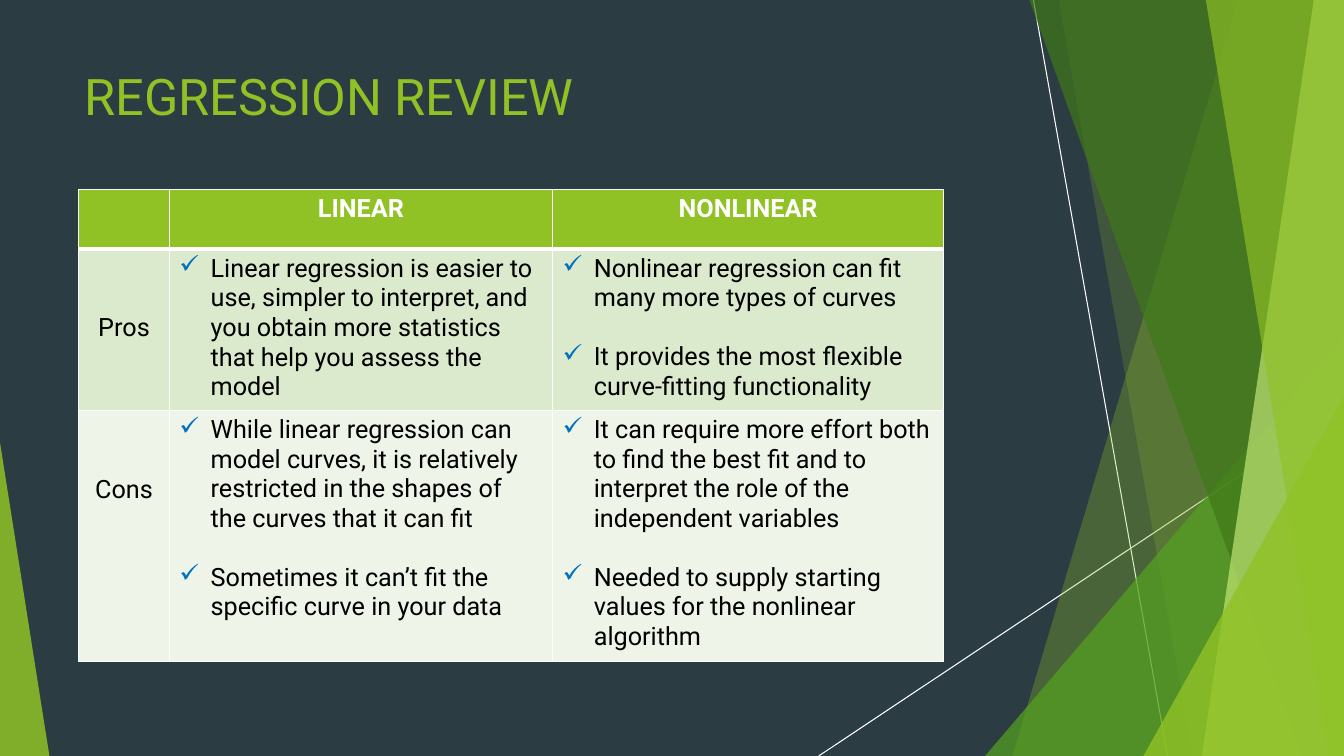
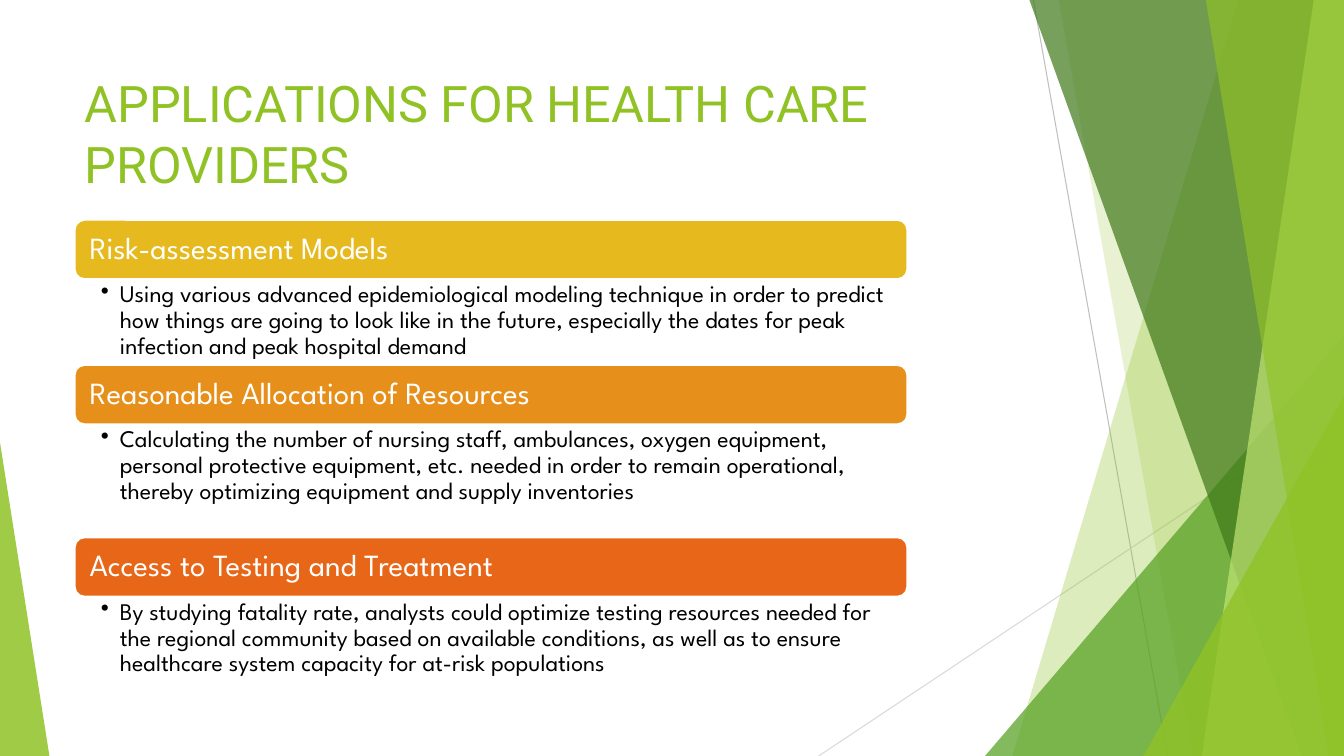
import dataclasses
import pptx
import pptx.util
import pptx.dml.color
import pptx.enum.shapes
import pptx.enum.text
import pptx.oxml.ns
import lxml.etree

SCALE = 9144
WIDE, HIGH = 1333, 750
SHAPE = pptx.enum.shapes.MSO_SHAPE
ALIGN = pptx.enum.text.PP_ALIGN
ANCHOR = pptx.enum.text.MSO_ANCHOR
qn = pptx.oxml.ns.qn


@dataclasses.dataclass(frozen=True)
class Theme:
    head: str = "Roboto"
    body: str = "League Spartan"
    lime: str = "90C226"
    green: str = "54A021"
    moss: str = "3F7819"
    pale: str = "C0E474"
    slate: str = "2C3C43"
    white: str = "FFFFFF"
    black: str = "000000"
    blue: str = "0070C0"
    bands: tuple = ("DBE9CD", "EEF4E8")
    bars: tuple = ("E6B91E", "E6901B", "E76618")
    rays: tuple = ("BFBFBF", "D9D9D9")
    title: int = 36
    grid: int = 18
    bar: int = 22
    note: int = 17
    gap: int = 21


T = Theme()

RAYS = [((1025, 0), (1158, 750)), ((1333, 403), (812, 750))]
SHARDS = [
    ("slant", (1228, 1004), T.lime, 30),
    ("slant", (1050, 1183), T.lime, 20),
    ("peak", (977, 333, 356, 417, 1), T.green, 72),
    ("slant", (1021, 1291), T.moss, 70),
    ("slant", (1303, 1192), T.pale, 70),
    ("slant", (1196, 1318), T.lime, 65),
    ("peak", (1134, 393, 199, 357, 1), T.lime, 80),
    ("peak", (0, 439, 49, 311, 0), T.lime, 85),
]

HEADS = ["", "LINEAR", "NONLINEAR"]
ROWS = [
    ("Pros", [
        ["Linear regression is easier to use, simpler to interpret, and you obtain more statistics that help you assess the model"],
        ["Nonlinear regression can fit many more types of curves",
         "It provides the most flexible curve-fitting functionality"],
    ]),
    ("Cons", [
        ["While linear regression can model curves, it is relatively restricted in the shapes of the curves that it can fit",
         "Sometimes it can’t fit the specific curve in your data"],
        ["It can require more effort both to find the best fit and to interpret the role of the independent variables",
         "Needed to supply starting values for the nonlinear algorithm"],
    ]),
]
CARDS = [
    ("Risk-assessment Models", 85,
     "Using various advanced epidemiological modeling technique in order to predict how things are going to look like in the future, especially the dates for peak infection and peak hospital demand"),
    ("Reasonable Allocation of Resources", 112,
     "Calculating the number of nursing staff, ambulances, oxygen equipment, personal protective equipment, etc. needed in order to remain operational, thereby optimizing equipment and supply inventories"),
    ("Access to Testing and Treatment", 112,
     "By studying fatality rate, analysts could optimize testing resources needed for the regional community based on available conditions, as well as to ensure healthcare system capacity for at-risk populations"),
]


def px(*nums):
    return [pptx.util.Emu(num * SCALE) for num in nums]


def rgb(code):
    return pptx.dml.color.RGBColor.from_string(code)


def paint(part, code):
    part.fill.solid()
    part.fill.fore_color.rgb = rgb(code)


def fade(shape, code, clear):
    shape.shadow.inherit = False
    paint(shape, code)
    shape.line.fill.background()
    tint = shape.element.find(".//" + qn("a:srgbClr"))
    lxml.etree.SubElement(tint, qn("a:alpha"), val=str(clear * 1000))


def ink(para, text, size, face, code, bold=False):
    para.text = text
    for run in para.runs:
        run.font.size = pptx.util.Pt(size)
        run.font.name = face
        run.font.bold = bold
        run.font.color.rgb = rgb(code)


def mark(para, sign, hang, code=None):
    props = para._p.get_or_add_pPr()
    props.set("marL", str(hang * SCALE))
    props.set("indent", str(-hang * SCALE))
    if code:
        tint = lxml.etree.SubElement(props, qn("a:buClr"))
        lxml.etree.SubElement(tint, qn("a:srgbClr"), val=code)
    lxml.etree.SubElement(props, qn("a:buChar"), char=sign)


def inset(frame, left, top, right, base):
    frame.margin_left, frame.margin_top, frame.margin_right, frame.margin_bottom = px(left, top, right, base)


def decor(slide, rays):
    for (start, end), code in zip(RAYS, rays):
        line = slide.shapes.add_connector(
            pptx.enum.shapes.MSO_CONNECTOR.STRAIGHT, *px(*start, *end))
        line.line.color.rgb = rgb(code)
        line.line.width = pptx.util.Pt(0.75)
        lxml.etree.SubElement(line.element.spPr, qn("a:effectLst"))
    for kind, place, code, clear in SHARDS:
        if kind == "slant":
            top, foot = place
            pen = slide.shapes.build_freeform(top, 0, scale=SCALE)
            pen.add_line_segments([(WIDE, 0), (WIDE, HIGH), (foot, HIGH)])
            shape = pen.convert_to_shape()
        else:
            *box, tip = place
            shape = slide.shapes.add_shape(SHAPE.ISOSCELES_TRIANGLE, *px(*box))
            shape.adjustments[0] = tip
        fade(shape, code, clear)


def title(slide, box, text):
    frame = slide.shapes.add_textbox(*px(*box)).text_frame
    frame.word_wrap = True
    inset(frame, 10, 5, 10, 5)
    ink(frame.paragraphs[0], text, T.title, T.head, T.lime)


def base(deck, ground, rays, top, text):
    slide = deck.slides.add_slide(deck.slide_layouts[6])
    paint(slide.background, ground)
    decor(slide, rays)
    title(slide, (74, top, 940, 144), text)
    return slide


def edge(cell, **sides):
    props = cell._tc.get_or_add_tcPr()
    for spot, side in enumerate("LRTB"):
        width = pptx.util.Pt(sides.get(side, 1))
        line = lxml.etree.Element(qn("a:ln" + side), w=str(width))
        fill = lxml.etree.SubElement(line, qn("a:solidFill"))
        lxml.etree.SubElement(fill, qn("a:srgbClr"), val=T.white)
        props.insert(spot, line)


def label(cell, text, code, bold):
    para = cell.text_frame.paragraphs[0]
    para.alignment = ALIGN.CENTER
    ink(para, text, T.grid, T.head, code, bold)


def checks(cell, items):
    frame = cell.text_frame
    frame.text = "\n".join(items)
    for spot, (para, item) in enumerate(zip(frame.paragraphs, items)):
        ink(para, item, T.grid, T.head, T.black)
        if spot:
            para.space_before = pptx.util.Pt(T.gap)
        mark(para, "✓", 31, T.blue)


def grid(slide, left, top, cols, rows):
    table = slide.shapes.add_table(
        len(rows), len(cols), *px(left, top, sum(cols), sum(rows))).table
    table.horz_banding = False
    for col, width in zip(table.columns, px(*cols)):
        col.width = width
    for row, height in zip(table.rows, px(*rows)):
        row.height = height
    for cell, text in zip(table.rows[0].cells, HEADS):
        paint(cell, T.lime)
        edge(cell, B=3)
        label(cell, text, T.white, True)
    for spot, (name, lists) in enumerate(ROWS):
        cells = list(table.rows[spot + 1].cells)
        for cell in cells:
            paint(cell, T.bands[spot])
            edge(cell, T=1 if spot else 3)
        cells[0].margin_top = px(64)[0]
        label(cells[0], name, T.black, False)
        for cell, items in zip(cells[1:], lists):
            checks(cell, items)


def card(slide, box, bar, code, name, text):
    left, top, width, height = box
    shape = slide.shapes.add_shape(SHAPE.ROUNDED_RECTANGLE, *px(left, top, width, bar))
    shape.shadow.inherit = False
    paint(shape, code)
    shape.line.color.rgb = rgb(T.white)
    shape.line.width = pptx.util.Pt(1.5)
    frame = shape.text_frame
    frame.word_wrap = True
    frame.vertical_anchor = ANCHOR.MIDDLE
    inset(frame, 12, 9, 12, 9)
    head = frame.paragraphs[0]
    head.alignment = ALIGN.LEFT
    head.line_spacing = 0.9
    ink(head, name, T.bar, T.body, T.white)
    frame = slide.shapes.add_textbox(*px(left, top + bar, width, height - bar)).text_frame
    frame.word_wrap = True
    inset(frame, 26, 3, 17, 3)
    note = frame.paragraphs[0]
    note.line_spacing = 0.9
    ink(note, text, T.note, T.body, T.black)
    mark(note, "•", 19)


def stack(slide, left, top, width, bar):
    for (name, depth, text), code in zip(CARDS, T.bars):
        card(slide, (left, top, width, bar + depth), bar, code, name, text)
        top += bar + depth


def main():
    deck = pptx.Presentation()
    deck.slide_width, deck.slide_height = px(WIDE, HIGH)
    review = base(deck, T.slate, (T.white, T.white), 60, "REGRESSION REVIEW")
    grid(review, 78, 188, (90, 380, 388), (59, 157, 245))
    uses = base(deck, T.white, T.rays, 67, "APPLICATIONS FOR HEALTH CARE PROVIDERS")
    stack(uses, 74, 218, 826, 59)
    deck.save("out.pptx")


if __name__ == "__main__":
    main()
